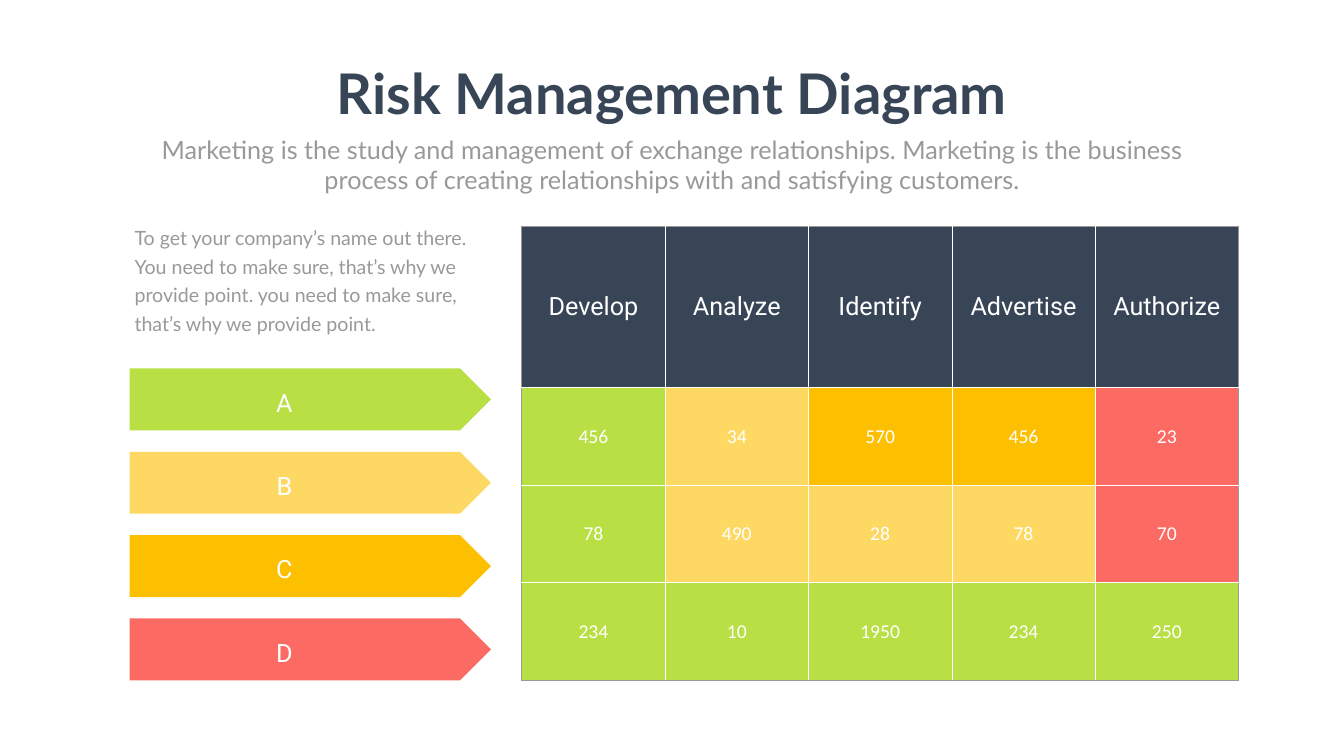
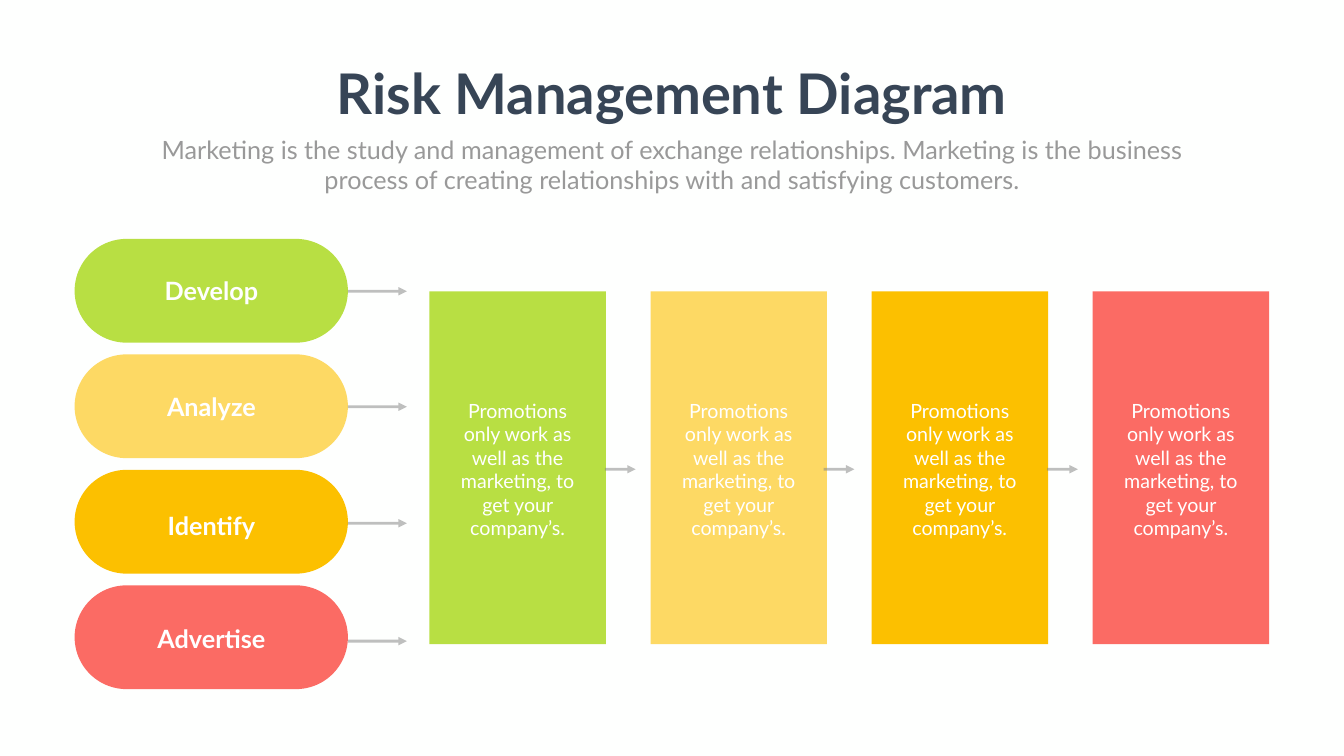
from dataclasses import dataclass
from typing import Optional

from lxml.etree import SubElement
from pptx import Presentation
from pptx.dml.color import RGBColor
from pptx.enum.shapes import MSO_CONNECTOR, MSO_SHAPE as Preset
from pptx.enum.text import MSO_ANCHOR as Anchor, MSO_AUTO_SIZE as AutoSize, PP_ALIGN as Align
from pptx.oxml import parse_xml
from pptx.oxml.ns import nsdecls, qn
from pptx.slide import Slide
from pptx.util import Cm, Pt

PAPER = RGBColor(0xFE, 0xFF, 0xFE)
WHITE = RGBColor(0xFF, 0xFF, 0xFF)
NAVY = RGBColor(0x37, 0x45, 0x56)
GRAY = RGBColor(0x99, 0x99, 0x99)
ARROW_GRAY = RGBColor(0x80, 0x80, 0x80)
GREEN = RGBColor(0xB8, 0xDF, 0x43)
YELLOW = RGBColor(0xFD, 0xD9, 0x64)
AMBER = RGBColor(0xFC, 0xC0, 0x00)
RED = RGBColor(0xFB, 0x6B, 0x64)
LEVELS = (GREEN, YELLOW, AMBER, RED)

TITLE = "Risk Management Diagram"
SUBTITLE = (
    "Marketing is the study and management of exchange relationships. "
    "Marketing is the business process of creating relationships with "
    "and satisfying customers."
)
INTRO = (
    "To get your company’s name out there. You need to make sure, that’s why "
    "we provide point. you need to make sure, that’s why we provide point."
)
PROMOTION = "Promotions only work as well as the marketing, to get your company’s."

HEADINGS = ("Develop", "Analyze", "Identify", "Advertise", "Authorize")
RISK_ROWS = (
    (("456", GREEN), ("34", YELLOW), ("570", AMBER), ("456", AMBER), ("23", RED)),
    (("78", GREEN), ("490", YELLOW), ("28", YELLOW), ("78", YELLOW), ("70", RED)),
    (("234", GREEN), ("10", GREEN), ("1950", GREEN), ("234", GREEN), ("250", GREEN)),
)


@dataclass(frozen=True)
class Area:
    """A rectangle on the page, in centimetres."""

    left: float
    top: float
    width: float
    height: float

    def lengths(self) -> tuple:
        return Cm(self.left), Cm(self.top), Cm(self.width), Cm(self.height)


@dataclass(frozen=True)
class Stage:
    name: str
    color: RGBColor
    label_top: float
    arrow_y: float


STAGES = (
    Stage("Develop", GREEN, 13.77, 14.68),
    Stage("Analyze", YELLOW, 19.58, 20.5),
    Stage("Identify", AMBER, 25.6, 26.37),
    Stage("Advertise", RED, 31.29, 32.31),
)
CARD_ARROW_STARTS = (30.48, 41.5, 52.76)


def write(para, text: str, *, size: float, color: RGBColor = WHITE, font: str = "Lato",
          bold: bool = False, align: Align = Align.CENTER,
          spacing: Optional[float] = None) -> None:
    para.alignment = align
    if spacing:
        para.line_spacing = Pt(spacing)
    span = para.add_run()
    span.text = text
    span.font.name = font
    span.font.size = Pt(size)
    span.font.bold = bold
    span.font.color.rgb = color


def add_text(page: Slide, area: Area, text: str, *, wrap: bool = True, **text_format) -> None:
    frame = page.shapes.add_textbox(*area.lengths()).text_frame
    frame.word_wrap = wrap
    frame.auto_size = AutoSize.SHAPE_TO_FIT_TEXT
    write(frame.paragraphs[0], text, **text_format)


def add_block(page: Slide, preset: Preset, area: Area, color: RGBColor,
              rounding: Optional[float] = None) -> None:
    block = page.shapes.add_shape(preset, *area.lengths())
    block.shadow.inherit = False
    block.fill.solid()
    block.fill.fore_color.rgb = color
    block.line.fill.background()
    if rounding is not None:
        block.adjustments[0] = rounding


def add_arrow(page: Slide, start: float, end: float, y: float) -> None:
    """Draw a half-transparent arrow that points right."""
    arrow = page.shapes.add_connector(
        MSO_CONNECTOR.STRAIGHT, Cm(start), Cm(y), Cm(end), Cm(y))
    arrow.line.width = Pt(4)
    arrow.line.color.rgb = ARROW_GRAY
    outline = arrow.line._get_or_add_ln()
    tint = outline.find(f"{qn('a:solidFill')}/{qn('a:srgbClr')}")
    SubElement(tint, qn("a:alpha"), val="50000")
    SubElement(outline, qn("a:tailEnd"), type="triangle")
    SubElement(arrow._element.spPr, qn("a:effectLst"))


def set_borders(cell, left: RGBColor, right: RGBColor, top: RGBColor,
                bottom: RGBColor) -> None:
    properties = cell._tc.get_or_add_tcPr()
    sides = zip(("lnL", "lnR", "lnT", "lnB"), (left, right, top, bottom))
    for index, (tag, color) in enumerate(sides):
        properties.insert(index, parse_xml(
            f'<a:{tag} {nsdecls("a")} w="12700"><a:solidFill>'
            f'<a:srgbClr val="{color}"/></a:solidFill></a:{tag}>'))


def add_risk_table(page: Slide, area: Area) -> None:
    rows = (tuple((heading, NAVY) for heading in HEADINGS), *RISK_ROWS)
    last_row, last_column = len(rows) - 1, len(HEADINGS) - 1
    table = page.shapes.add_table(len(rows), len(HEADINGS), *area.lengths()).table
    table.first_row = table.horz_banding = False
    for column in table.columns:
        column.width = Cm(area.width / len(HEADINGS))
    for index, row in enumerate(table.rows):
        row.height = Cm(4.92 if index else 8.13)
    for r, row in enumerate(rows):
        for c, (text, color) in enumerate(row):
            cell = table.cell(r, c)
            cell.fill.solid()
            cell.fill.fore_color.rgb = color
            cell.vertical_anchor = Anchor.MIDDLE
            set_borders(
                cell,
                left=GRAY if c == 0 else WHITE,
                right=GRAY if c == last_column else WHITE,
                top=GRAY if r == 0 else WHITE,
                bottom=GRAY if r == last_row else WHITE,
            )
            para = cell.text_frame.paragraphs[0]
            if r == 0:
                cell.margin_left = cell.margin_right = Cm(0.36)
                cell.margin_top = cell.margin_bottom = Cm(0.18)
                write(para, text, size=36, font="Roboto")
            else:
                write(para, text, size=28, font="Calibri")


def add_page(deck) -> Slide:
    """Add a blank page with the shared background, title and subtitle."""
    page = deck.slides.add_slide(deck.slide_layouts[6])
    page.background.fill.solid()
    page.background.fill.fore_color.rgb = PAPER
    add_text(page, Area(16.41, 2.84, 34.9, 3.68), TITLE,
             wrap=False, size=80, color=NAVY, bold=True)
    add_text(page, Area(7.42, 6.63, 52.88, 3.33), SUBTITLE, size=36, color=GRAY)
    return page


def build_table_page(deck) -> None:
    page = add_page(deck)
    add_risk_table(page, Area(26.29, 11.4, 36.12, 22.89))
    add_text(page, Area(6.53, 11.02, 17.35, 5.94), INTRO,
             size=28, color=GRAY, align=Align.LEFT, spacing=40.8)
    for index, (letter, color) in enumerate(zip("ABCD", LEVELS)):
        top = 18.57 + 4.2 * index
        add_block(page, Preset.PENTAGON, Area(6.53, top, 18.21, 3.12), color)
        add_text(page, Area(10.29, top + 0.8, 8.08, 1.52), letter, size=36, font="Roboto")


def build_process_page(deck) -> None:
    page = add_page(deck)
    for index, stage in enumerate(STAGES):
        add_block(page, Preset.ROUNDED_RECTANGLE,
                  Area(3.76, 12.04 + 5.82 * index, 13.77, 5.23), stage.color, rounding=0.5)
        add_arrow(page, 17.53, 20.5, stage.arrow_y)
        add_text(page, Area(7.34, stage.label_top, 6.63, 1.8), stage.name, size=36, bold=True)
    for index, color in enumerate(LEVELS):
        left = 21.64 + 11.14 * index
        add_block(page, Preset.RECTANGLE, Area(left, 14.68, 8.89, 17.78), color)
        add_text(page, Area(left + 1.14, 19.96, 6.6, 7.44), PROMOTION, size=28)
    for start in CARD_ARROW_STARTS:
        add_arrow(page, start, start + 1.55, 23.65)


def main() -> None:
    deck = Presentation()
    deck.slide_width, deck.slide_height = Cm(67.72), Cm(38.1)
    build_table_page(deck)
    build_process_page(deck)
    deck.save("out.pptx")


if __name__ == "__main__":
    main()
